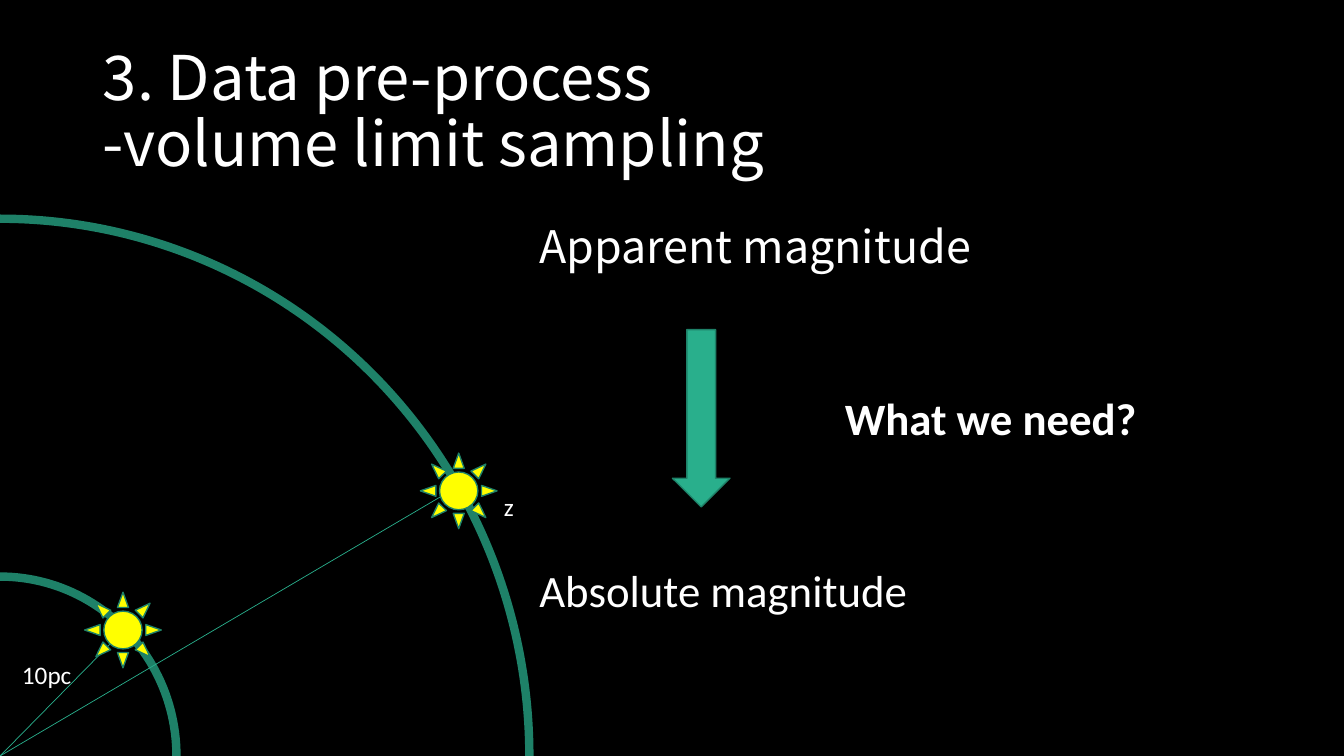
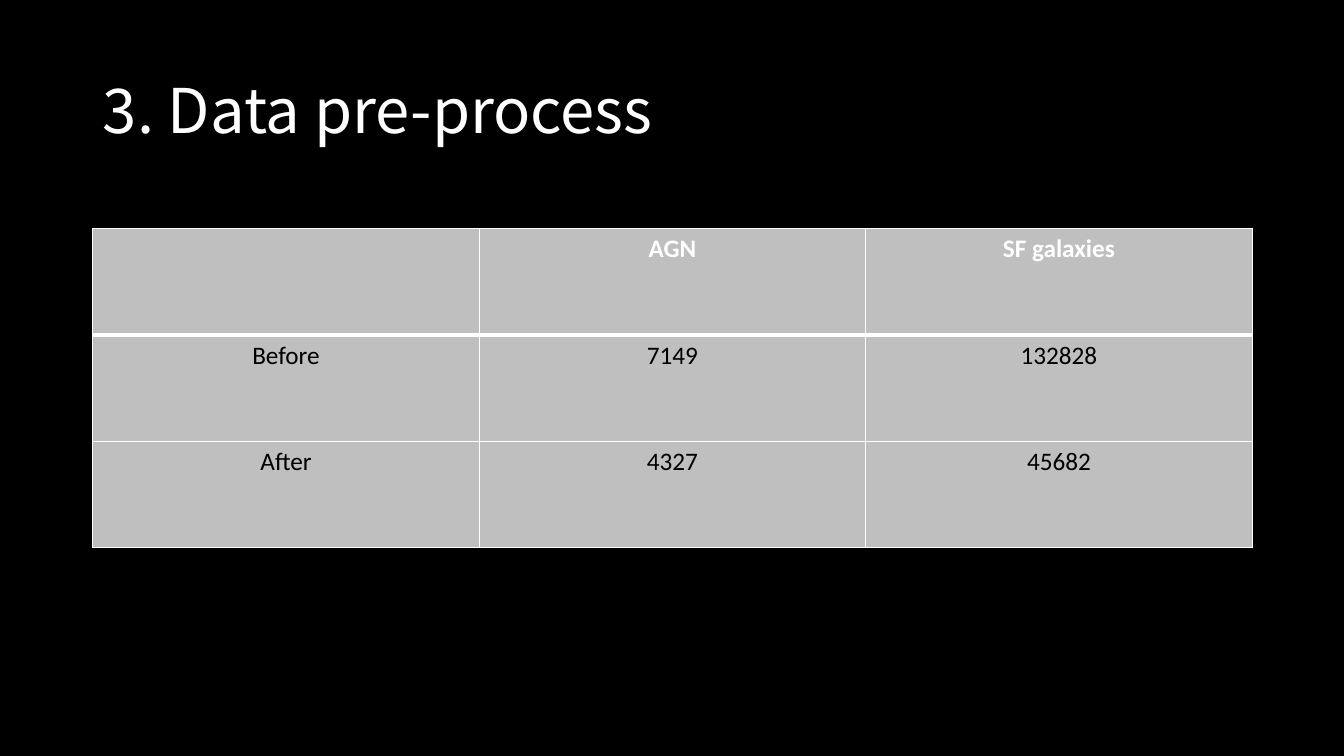
from lxml import etree
from pptx import Presentation
from pptx import util as u
from pptx.dml.color import RGBColor
from pptx.enum import shapes, text
from pptx.oxml.ns import qn

INK = {
    "back": "000000", "text": "FFFFFF", "ring": "1E8168", "ray": "29AF8C",
    "sun": "FFFF00", "cell": "BFBFBF", "dark": "000000",
}
SANS, CJK = "Calibri", "Noto Sans CJK KR"
SCALE = 9144
WIDE, HIGH = 1333, 750
TITLE = (92, 40, 1150, 145)

HEADS = [["3. Data pre-process", "-volume limit sampling"], ["3. Data pre-process"]]
RINGS = [(175, 178), (525, 533)]
SUNS = [(455, 487), (122, 625)]
SUN = (76, 75)
RAYS = [(124, 624), (452, 484)]
ARROW = (667, 327, 57, 176)
LABELS = [
    ("10pc", (12, 649, 73, 40), True, {"size": u.Pt(18), "name": SANS}),
    ("z", (490, 483, 73, 40), True, {"size": u.Pt(18), "name": SANS}),
    ("Apparent magnitude", (525, 212, 659, 64), True, {"size": u.Pt(32), "name": CJK}),
    ("Absolute magnitude", (525, 553, 659, 64), True, {"size": u.Pt(32), "name": SANS}),
    ("What we need?", (828, 383, 312, 64), False,
     {"size": u.Pt(32), "name": SANS, "bold": True}),
]
ROWS = [
    ["", "AGN", "SF galaxies"],
    ["Before", "7149", "132828"],
    ["After", "4327", "45682"],
]
GRID = (92, 227, 1150, 316)


def px(*vals):
    return [u.Emu(round(v * SCALE)) for v in vals]


def rgb(key):
    return RGBColor.from_string(INK[key])


def style(font, key, **form):
    for name, val in form.items():
        setattr(font, name, val)
    font.color.rgb = rgb(key)


def start(deck, lines):
    page = deck.slides.add_slide(deck.slide_layouts[5])
    head = page.shapes.title
    head.left, head.top, head.width, head.height = px(*TITLE)
    frame = head.text_frame
    frame.auto_size = text.MSO_AUTO_SIZE.NONE
    frame.vertical_anchor = text.MSO_ANCHOR.MIDDLE
    para = frame.paragraphs[0]
    para.alignment = text.PP_ALIGN.LEFT
    para.line_spacing = 0.9
    for i, line in enumerate(lines):
        if i:
            para.add_line_break()
        run = para.add_run()
        run.text = line
        style(run.font, "text", size=u.Pt(44), name=CJK)
    return page


def shape(page, kind, box, fill=None, width=1):
    item = page.shapes.add_shape(kind, *px(*box))
    item.shadow.inherit = False
    if fill:
        item.fill.solid()
        item.fill.fore_color.rgb = rgb(fill)
    else:
        item.fill.background()
    item.line.color.rgb = rgb("ring")
    item.line.width = u.Pt(width)


def ring(page, rx, ry):
    shape(page, shapes.MSO_SHAPE.OVAL, (-rx, HIGH - ry, 2 * rx, 2 * ry), width=6)


def ray(page, end):
    line = page.shapes.add_connector(
        shapes.MSO_CONNECTOR.STRAIGHT, *px(0, HIGH, *end))
    line.line.color.rgb = rgb("ray")
    line.line.width = u.Pt(0.5)
    etree.SubElement(line._element.spPr, qn("a:effectLst"))


def label(page, words, box, wrap, form):
    item = page.shapes.add_textbox(*px(*box))
    item.text_frame.word_wrap = wrap
    run = item.text_frame.paragraphs[0].add_run()
    run.text = words
    style(run.font, "text", **form)


def border(cell, sides):
    props = cell._tc.get_or_add_tcPr()
    for side, width in sides.items():
        line = etree.SubElement(props, qn("a:ln" + side), w=str(u.Pt(width)))
        fill = etree.SubElement(line, qn("a:solidFill"))
        etree.SubElement(fill, qn("a:srgbClr"), val=INK["text"])


def table(page):
    grid = page.shapes.add_table(len(ROWS), len(ROWS[0]), *px(*GRID)).table
    for r, row in enumerate(ROWS):
        for c, words in enumerate(row):
            cell = grid.cell(r, c)
            border(cell, {"L": 1, "R": 1, "T": 3 if r == 1 else 1,
                          "B": 3 if r == 0 else 1})
            cell.fill.solid()
            cell.fill.fore_color.rgb = rgb("cell")
            cell.text = words
            para = cell.text_frame.paragraphs[0]
            para.alignment = text.PP_ALIGN.CENTER
            style(para.font, "dark" if r else "text",
                  size=u.Pt(18), name=SANS, bold=r == 0)


def main():
    deck = Presentation()
    deck.slide_width, deck.slide_height = px(WIDE, HIGH)
    back = deck.slide_master.background.fill
    back.solid()
    back.fore_color.rgb = rgb("back")
    sky, counts = [start(deck, lines) for lines in HEADS]

    ring(sky, *RINGS[0])
    for end in RAYS:
        ray(sky, end)
    ring(sky, *RINGS[1])
    w, h = SUN
    for x, y in SUNS:
        shape(sky, shapes.MSO_SHAPE.SUN, (x - w / 2, y - h / 2, w, h), "sun")
    for item in LABELS:
        label(sky, *item)
    shape(sky, shapes.MSO_SHAPE.DOWN_ARROW, ARROW, "ray")

    table(counts)
    deck.save("out.pptx")


if __name__ == "__main__":
    main()
